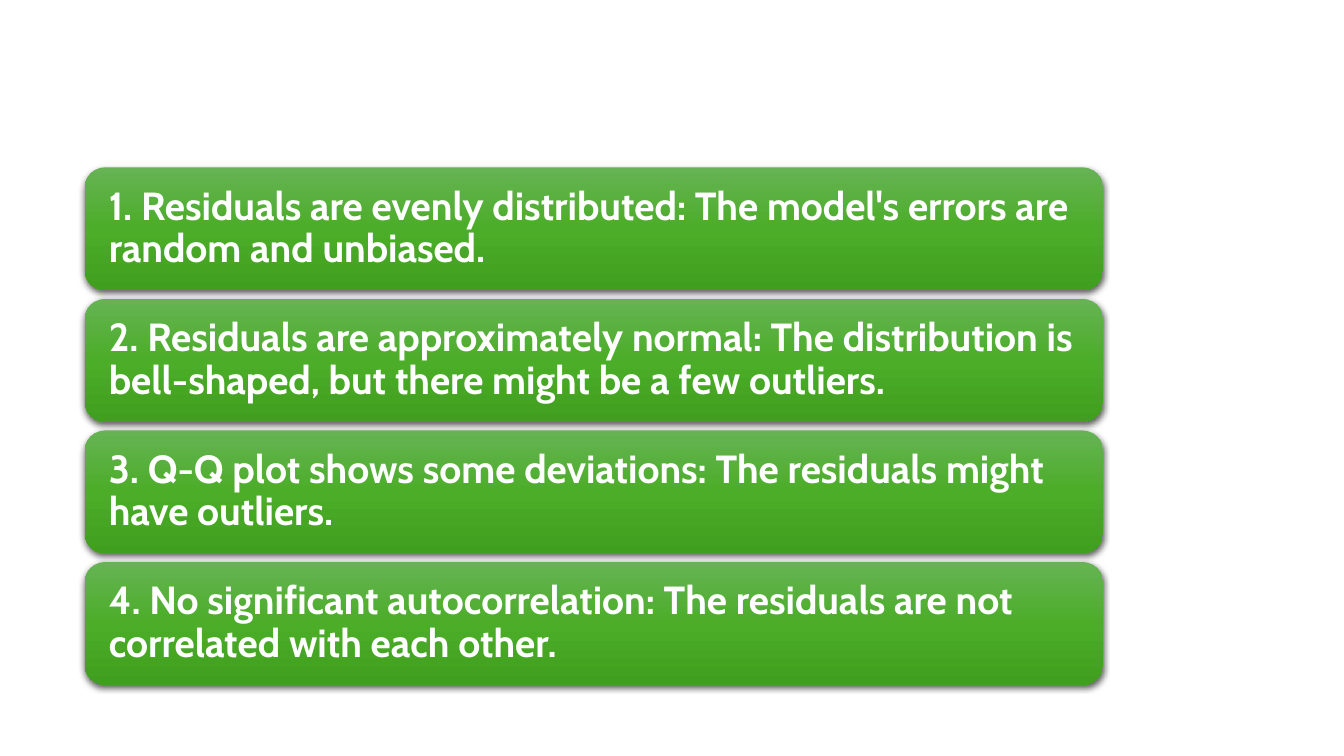
from copy import deepcopy

from pptx import Presentation
from pptx.dml.color import RGBColor
from pptx.enum.shapes import MSO_SHAPE as Shape
from pptx.enum.text import MSO_ANCHOR as Anchor, PP_ALIGN as Align
from pptx.oxml import parse_xml
from pptx.oxml.ns import nsdecls, qn
from pptx.util import Inches, Pt


def color(hex_value):
    return RGBColor.from_string(hex_value)


FINDINGS = [
    "1. Residuals are evenly distributed: The model's errors are random and unbiased.",
    "2. Residuals are approximately normal: The distribution is bell-shaped, but there might be a few outliers.",
    "3. Q-Q plot shows some deviations: The residuals might have outliers.",
    "4. No significant autocorrelation: The residuals are not correlated with each other.",
]
GREENS = [(0, "66B354"), (0.5, "4BAD28"), (1, "409F1E")]
LEFT, TOP, WIDTH, HEIGHT = 0.84, 1.66, 10.1, 1.22
PITCH = 1.305
INSET = Inches(0.18)
FRAME_FORMAT = {
    "word_wrap": True,
    "vertical_anchor": Anchor.MIDDLE,
    "margin_left": INSET,
    "margin_right": INSET,
    "margin_top": INSET,
    "margin_bottom": INSET,
}
FONT_FORMAT = {"name": "Cabin", "size": Pt(28), "bold": True}
SHADOW = (
    f'<a:outerShdw {nsdecls("a")} blurRad="{Pt(4.5)}" dist="{Pt(1.5)}" '
    'dir="5400000" algn="ctr" rotWithShape="0">'
    '<a:srgbClr val="000000"><a:alpha val="63000"/></a:srgbClr></a:outerShdw>'
)

# Blank slide
deck = Presentation()
deck.slide_width, deck.slide_height = Inches(13.33), Inches(7.5)
page = deck.slides.add_slide(deck.slide_layouts[6])

# Stack of finding cards
for row, finding in enumerate(FINDINGS):
    box = page.shapes.add_shape(
        Shape.ROUNDED_RECTANGLE,
        Inches(LEFT), Inches(TOP + row * PITCH), Inches(WIDTH), Inches(HEIGHT),
    )
    box.name = f"Finding {row + 1}"
    box.line.fill.background()

    # Three-stop gradient from top to bottom
    box.fill.gradient()
    box.fill.gradient_angle = 270
    properties = box._element.spPr
    stop_list = properties.find(".//" + qn("a:gsLst"))
    stop_list.insert(1, deepcopy(stop_list[0]))
    for stop, (position, green) in zip(box.fill.gradient_stops, GREENS):
        stop.position = position
        stop.color.rgb = color(green)

    # Soft shadow below the card
    box.shadow.inherit = False
    properties.find(qn("a:effectLst")).append(parse_xml(SHADOW))

    # Finding text
    frame = box.text_frame
    for key, value in FRAME_FORMAT.items():
        setattr(frame, key, value)
    para = frame.paragraphs[0]
    para.alignment = Align.LEFT
    para.line_spacing = 0.9
    span = para.add_run()
    span.text = finding
    for key, value in FONT_FORMAT.items():
        setattr(span.font, key, value)
    span.font.color.rgb = color("FFFFFF")

deck.save("out.pptx")
